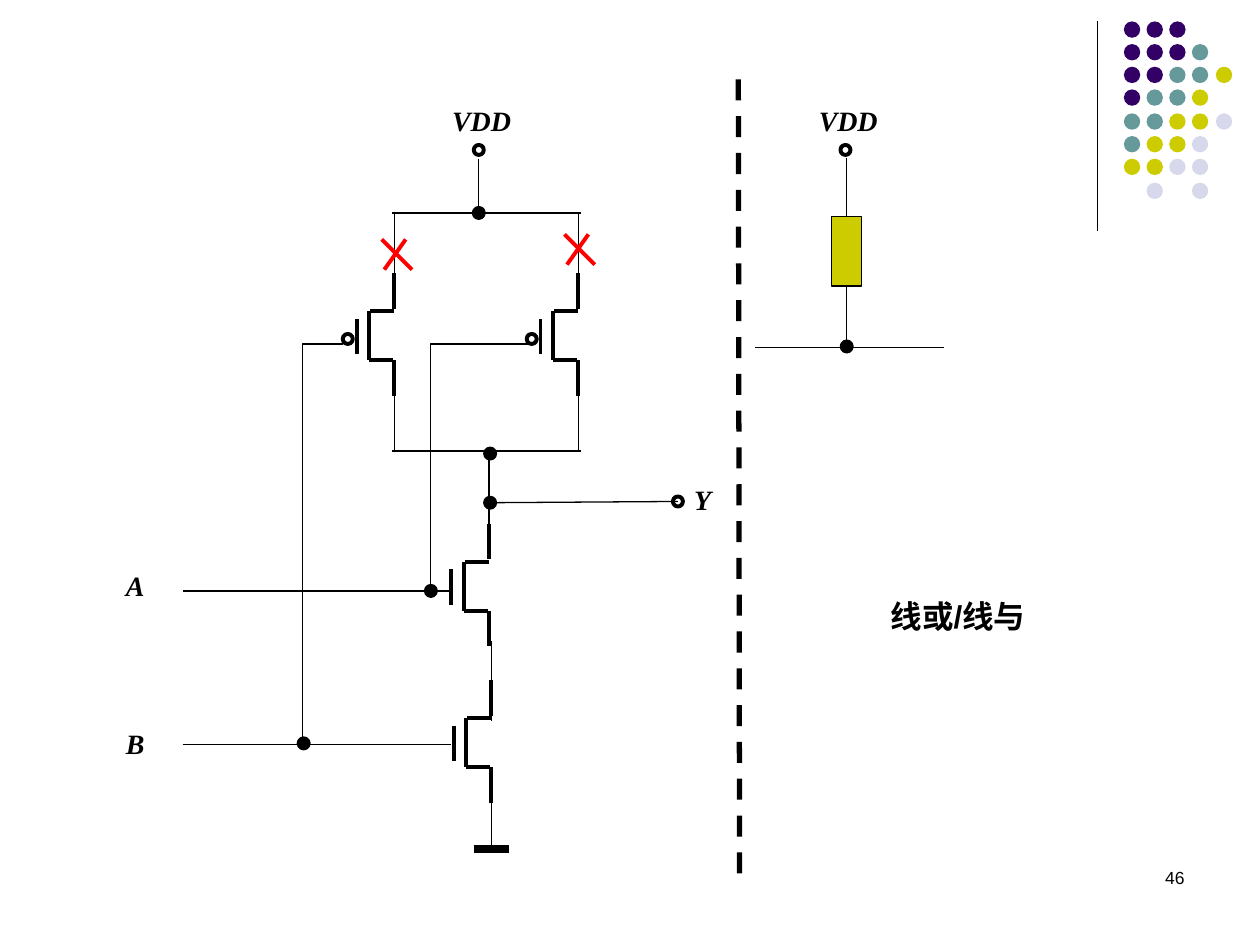
from dataclasses import dataclass
from typing import NamedTuple, Optional

from lxml.etree import SubElement
from pptx import Presentation
from pptx.dml.color import RGBColor as RGB
from pptx.enum.dml import MSO_LINE as Dash
from pptx.enum.shapes import MSO_CONNECTOR as Link, MSO_SHAPE as Kind
from pptx.enum.text import PP_ALIGN as Align
from pptx.oxml.ns import qn
from pptx.util import Pt

PX = 9144  # 100 px to the inch


@dataclass(frozen=True)
class Theme:
    ink: str = "000000"
    cross: str = "FF0000"
    plum: str = "330066"
    teal: str = "669999"
    lime: str = "CCCC00"
    mist: str = "D8D8EC"
    thin: float = 0.75
    bold: float = 2.25
    rail: float = 3
    earth: float = 4.5
    serif: str = "Times New Roman"
    sans: str = "Arial"
    tag: int = 16
    note: int = 18
    page: int = 10


class Wire(NamedTuple):
    x1: int
    y1: int
    x2: int
    y2: int


class Fet(NamedTuple):
    x: int
    y: int
    pmos: bool


class Node(NamedTuple):
    x: int
    y: int
    solid: bool


class Label(NamedTuple):
    text: str
    x: int
    y: int
    w: int
    h: int
    size: int
    font: str
    bold: bool = True
    slant: bool = True
    align: Align = Align.LEFT


T = Theme()


def draw_wire(shapes, wire: Wire, width: float = T.thin, color: str = T.ink):
    line = shapes.add_connector(Link.STRAIGHT, *(v * PX for v in wire))
    line.line.color.rgb = RGB.from_string(color)
    line.line.width = Pt(width)
    SubElement(line._element.spPr, qn("a:effectLst"))
    return line


def style(shape, fill: Optional[str], width: float = 0) -> None:
    shape.shadow.inherit = False
    if fill:
        shape.fill.solid()
        shape.fill.fore_color.rgb = RGB.from_string(fill)
    else:
        shape.fill.background()
    if width:
        shape.line.color.rgb = RGB.from_string(T.ink)
        shape.line.width = Pt(width)
    else:
        shape.line.fill.background()


def draw_shape(shapes, kind: Kind, x: int, y: int, w: int, h: int,
               fill: Optional[str], width: float = 0):
    shape = shapes.add_shape(kind, x * PX, y * PX, w * PX, h * PX)
    style(shape, fill, width)
    return shape


def draw_node(shapes, node: Node) -> None:
    draw_shape(shapes, Kind.OVAL, node.x, node.y, 8, 8,
               T.ink if node.solid else None, T.bold)


def draw_fet(shapes, fet: Fet) -> None:
    """Draw a transistor whose drain starts at x, y."""
    x, y = fet.x, fet.y
    parts = (
        Wire(x - 20, y + 30, x - 20, y + 69),  # channel
        Wire(x - 30, y + 36, x - 30, y + 64),  # gate
        Wire(x - 20, y + 69, x - 1, y + 69),
        Wire(x - 19, y + 30, x, y + 30),
        Wire(x, y + 69, x, y + 97),  # source
        Wire(x, y, x, y + 28),  # drain
    )
    for part in parts:
        draw_wire(shapes, part, T.bold)
    if fet.pmos:
        draw_node(shapes, Node(x - 41, y + 48, False))


def draw_path(shapes, points: list[tuple[int, int]]) -> None:
    pen = shapes.build_freeform(*points[0], scale=PX)
    pen.add_line_segments(points[1:], close=False)
    style(pen.convert_to_shape(), None, T.thin)


def draw_label(shapes, label: Label) -> None:
    box = shapes.add_textbox(label.x * PX, label.y * PX,
                             label.w * PX, label.h * PX)
    box.text_frame.word_wrap = True
    para = box.text_frame.paragraphs[0]
    para.alignment = label.align
    run = para.add_run()
    run.text = label.text
    font = run.font
    font.name, font.size = label.font, Pt(label.size)
    font.bold, font.italic = label.bold, label.slant
    font.color.rgb = RGB.from_string(T.ink)


def draw_dots(shapes) -> None:
    rows = ("PPP", "PPPT", "PPTTL", "PTTL", "TTLLM", "TLLM", "LLMM", " M M")
    hues = {"P": T.plum, "T": T.teal, "L": T.lime, "M": T.mist}
    group = shapes.add_group_shape()
    for r, row in enumerate(rows):
        for c, key in enumerate(row):
            if key in hues:
                draw_shape(group.shapes, Kind.OVAL, 892 + c * 183 // 10,
                           17 + r * 183 // 10, 13, 13, hues[key])


def main() -> None:
    deck = Presentation()
    deck.slide_width, deck.slide_height = 1000 * PX, 750 * PX
    shapes = deck.slides.add_slide(deck.slide_layouts[6]).shapes

    # Corner ornament
    draw_wire(shapes, Wire(871, 17, 871, 183))
    draw_dots(shapes)

    # Transistors
    for fet in (Fet(388, 416, False), Fet(390, 540, False),
                Fet(459, 217, True), Fet(313, 217, True)):
        draw_fet(shapes, fet)

    # Gate wiring
    draw_path(shapes, [(421, 273), (342, 273), (342, 469),
                       (358, 469), (145, 469)])
    draw_path(shapes, [(272, 273), (240, 273), (240, 591), (358, 591)])

    # Branches of the pull-up pair
    for x in (313, 459):
        draw_wire(shapes, Wire(x, 170, x, 217))
        draw_wire(shapes, Wire(x, 312, x, 359))
    for y in (169, 358):
        draw_wire(shapes, Wire(311, y, 461, y))

    # Supply, output, input and ground wires
    for wire in (Wire(380, 126, 380, 173), Wire(388, 358, 388, 421),
                 Wire(390, 509, 390, 572), Wire(390, 611, 390, 674),
                 Wire(388, 399, 538, 398), Wire(145, 591, 287, 591)):
        draw_wire(shapes, wire)
    draw_wire(shapes, Wire(376, 674, 404, 674), T.earth)

    # Pull-up resistor
    box = draw_shape(shapes, Kind.RECTANGLE, 660, 172, 24, 55, T.lime, T.thin)
    draw_wire(shapes, Wire(672, 125, 672, 172)).end_connect(box, 0)
    draw_wire(shapes, Wire(672, 227, 672, 276)).begin_connect(box, 2)
    draw_wire(shapes, Wire(599, 276, 749, 276))

    # Junctions and terminals
    for x, y in ((385, 395), (385, 356), (376, 165),
                 (338, 465), (237, 586), (668, 271)):
        draw_node(shapes, Node(x, y, True))
    for x, y in ((376, 115), (534, 394), (667, 115)):
        draw_node(shapes, Node(x, y, False))

    # Divider
    rail = draw_wire(shapes, Wire(586, 63, 587, 701), T.rail)
    rail.line.dash_style = Dash.DASH

    # Labels
    for text, x, y, w in (("VDD", 349, 77, 96), ("VDD", 640, 77, 96),
                          ("Y", 541, 378, 55), ("A", 90, 446, 55),
                          ("B", 90, 572, 55)):
        draw_label(shapes, Label(text, x, y, w, 37, T.tag, T.serif))
    draw_label(shapes, Label("线或/线与", 697, 469, 150, 40, T.note, T.sans,
                             slant=False))
    draw_label(shapes, Label("46", 717, 683, 233, 50, T.page, T.sans,
                             False, False, Align.RIGHT))

    # Crosses over the cut branches
    for x, y in ((303, 190), (448, 186)):
        draw_wire(shapes, Wire(x, y, x + 24, y + 24), T.bold, T.cross)
        draw_wire(shapes, Wire(x + 19, y, x + 2, y + 24), T.bold, T.cross)

    deck.save("out.pptx")


if __name__ == "__main__":
    main()
